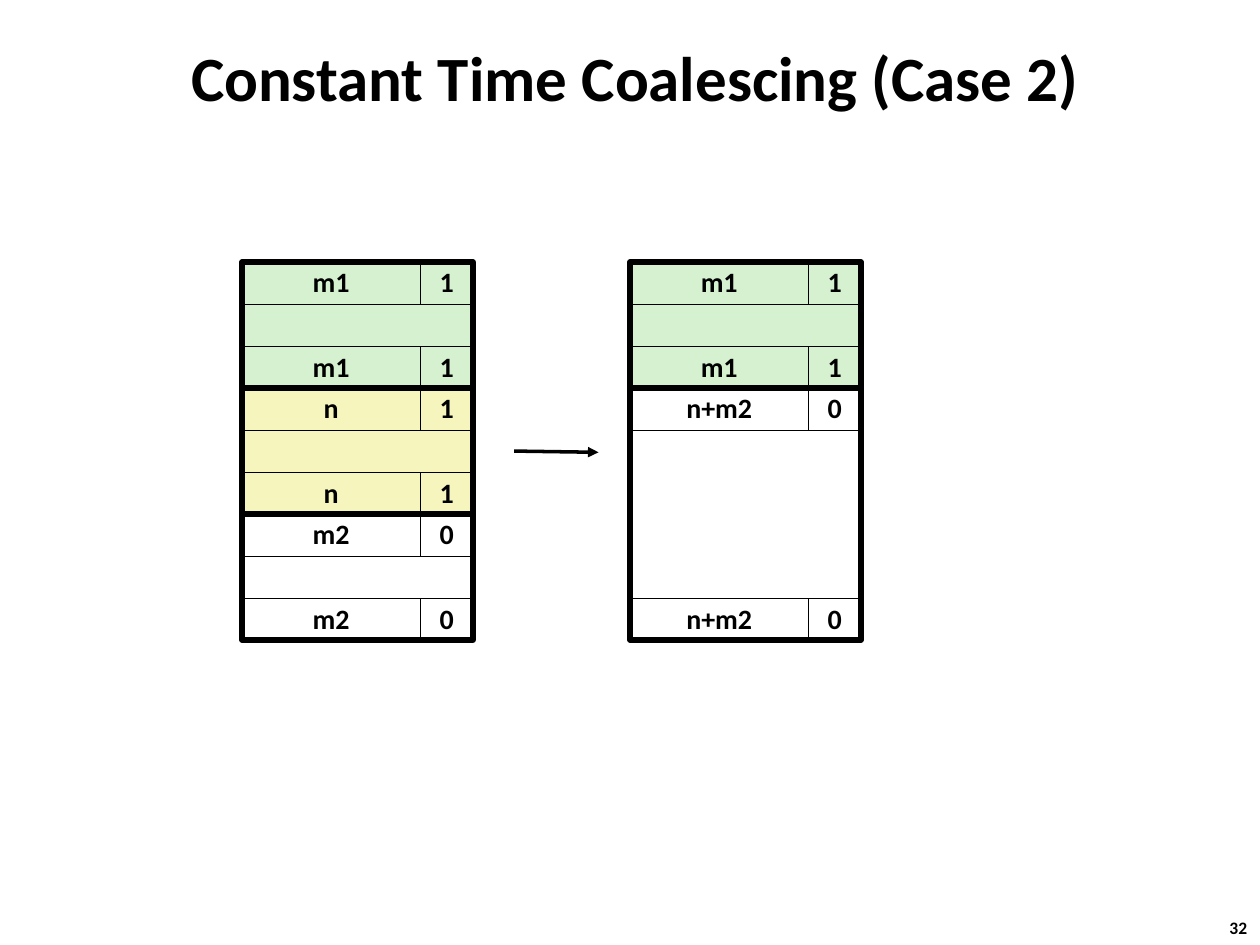
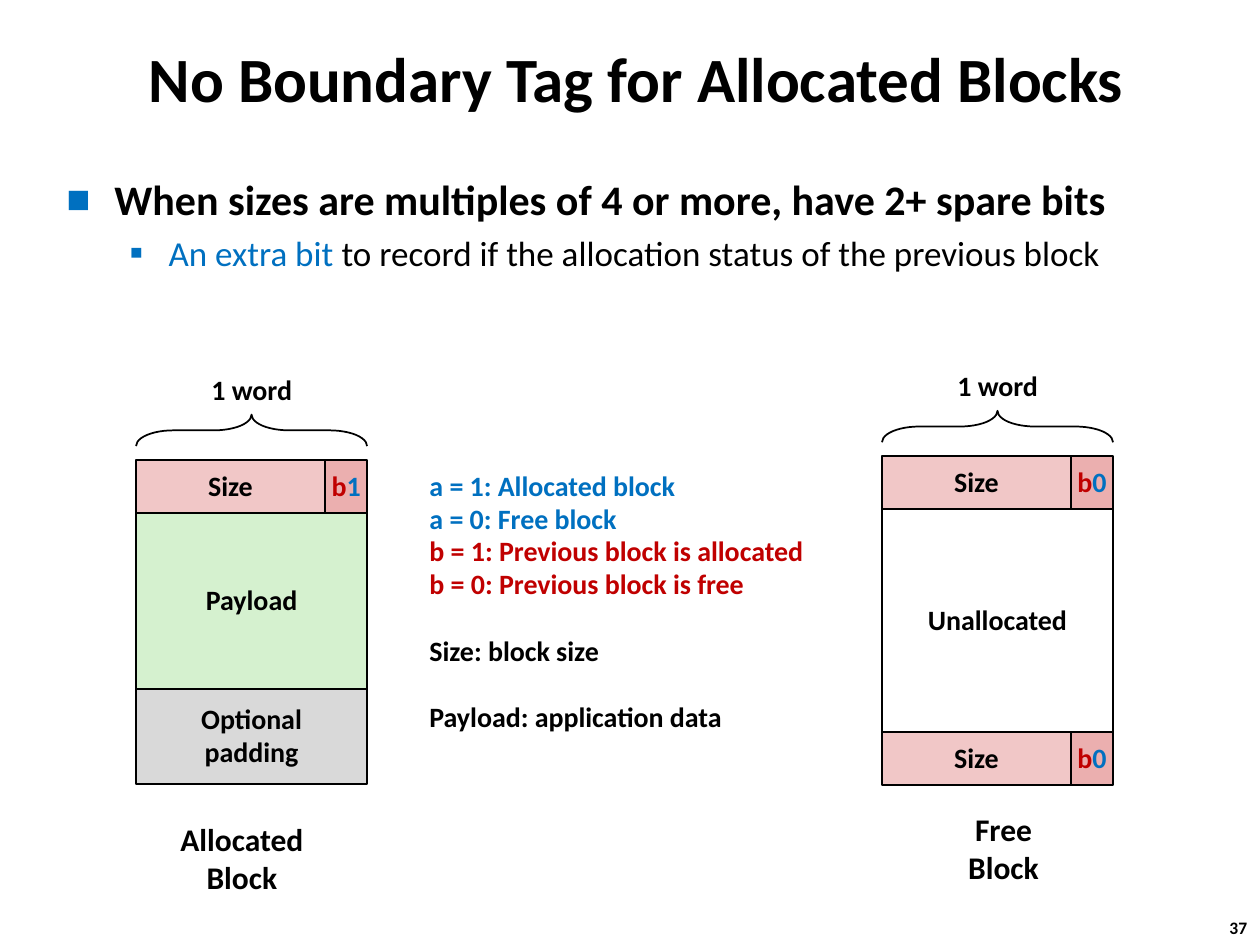
import pptx
import pptx.util
import pptx.dml.color
import pptx.enum.shapes
import pptx.enum.text
import pptx.oxml
import pptx.oxml.ns
from lxml import etree

Inches = pptx.util.Inches
Pt = pptx.util.Pt
SHAPE = pptx.enum.shapes.MSO_SHAPE
CENTER = pptx.enum.text.PP_ALIGN.CENTER
LEFT = pptx.enum.text.PP_ALIGN.LEFT
MIDDLE = pptx.enum.text.MSO_ANCHOR.MIDDLE
TOP = pptx.enum.text.MSO_ANCHOR.TOP

COLORS = {
    "black": "000000", "white": "FFFFFF", "green": "D5F1CF",
    "yellow": "F6F5BD", "pink": "F1C7C7", "rose": "EBAFAF",
    "gray": "D9D9D9", "blue": "0070C0", "red": "C00000",
}
BLOCK_W = 11 / 6
ROW_H = 1 / 3
FLAG_W = 5 / 12
HEADER_H = 0.42
BITS_W = 1 / 3


def rgb(name):
    return pptx.dml.color.RGBColor.from_string(COLORS[name])


def sub(parent, tag, **attrs):
    return etree.SubElement(parent, pptx.oxml.ns.qn(tag), **attrs)


class Deck:
    font = "Calibri"

    def __init__(self):
        self.prs = pptx.Presentation()
        self.prs.slide_width = Inches(10)
        self.prs.slide_height = Inches(7.5)
        self.s = None

    def slide(self, title, number, box):
        self.s = self.prs.slides.add_slide(self.prs.slide_layouts[6])
        self.text(9.66, 7.23, 0.37, 0.27, [number], size=10)
        self.text(*box, [title], size=36, align=CENTER, anchor=MIDDLE, wrap=True)

    def run(self, p, text, color="black", size=16, bold=True):
        r = p.add_run()
        r.text = text
        r.font.name = self.font
        r.font.size = Pt(size)
        r.font.bold = bold
        r.font.color.rgb = rgb(color)

    def fill_text(self, tf, lines, size, align, anchor, wrap=False, spacing=None):
        tf.word_wrap = wrap
        tf.vertical_anchor = anchor
        for i, line in enumerate(lines):
            p = tf.paragraphs[0] if i == 0 else tf.add_paragraph()
            p.alignment = align
            if spacing:
                p.line_spacing = spacing
            for text, color in [(line, "black")] if isinstance(line, str) else line:
                self.run(p, text, color, size)

    def text(self, x, y, w, h, lines, size=16, align=LEFT, anchor=TOP, wrap=False, spacing=None):
        sp = self.s.shapes.add_textbox(Inches(x), Inches(y), Inches(w), Inches(h))
        self.fill_text(sp.text_frame, lines, size, align, anchor, wrap, spacing)
        return sp.text_frame

    def shape(self, kind, x, y, w, h, fill=None, line=1):
        sp = self.s.shapes.add_shape(kind, Inches(x), Inches(y), Inches(w), Inches(h))
        sp.shadow.inherit = False
        if fill:
            sp.fill.solid()
            sp.fill.fore_color.rgb = rgb(fill)
        else:
            sp.fill.background()
        sp.line.color.rgb = rgb("black")
        sp.line.width = Pt(line)
        return sp

    def rect(self, x, y, w, h, fill=None, lines=(), line=1):
        sp = self.shape(SHAPE.RECTANGLE, x, y, w, h, fill, line)
        self.fill_text(sp.text_frame, lines, 16, CENTER, MIDDLE, spacing=0.98)

    def brace(self, x, y, w, h):
        sp = self.shape(SHAPE.RIGHT_BRACE, x + (w - h) / 2, y + (h - w) / 2, h, w)
        sp.rotation = 270
        sp.adjustments[0] = 1.19
        sp.adjustments[1] = 0.5

    def arrow(self, x1, y1, x2, y2):
        c = self.s.shapes.add_connector(
            pptx.enum.shapes.MSO_CONNECTOR.STRAIGHT,
            Inches(x1), Inches(y1), Inches(x2), Inches(y2))
        c.line.color.rgb = rgb("black")
        c.line.width = Pt(2)
        sub(c.line._get_or_add_ln(), "a:tailEnd", type="triangle")
        sub(c._element.spPr, "a:effectLst")

    def bullets(self, x, y, w, h, items):
        tf = self.text(x, y, w, h, [], wrap=True)
        for i, (char, percent, margin, hang, size, bold, runs) in enumerate(items):
            p = tf.paragraphs[0] if i == 0 else tf.add_paragraph()
            pPr = p._p.get_or_add_pPr()
            pPr.set("marL", str(Inches(margin)))
            pPr.set("indent", str(-Inches(hang)))
            pPr.set("lvl", str(i))
            sub(sub(pPr, "a:buClr"), "a:srgbClr", val=COLORS["blue"])
            sub(pPr, "a:buSzPct", val=str(percent * 1000))
            sub(pPr, "a:buFont", typeface=self.font)
            sub(pPr, "a:buChar", char=char)
            if i:
                p.space_before = Pt(0.2 * size)
            for text, color in runs:
                self.run(p, text, color, size, bold)

    def memory_block(self, x, y, rows, size, flag, fill):
        last = y + (rows - 1) * ROW_H
        for top in (y, last):
            self.rect(x, top, BLOCK_W - FLAG_W, ROW_H, fill, [size], 0.25)
            self.rect(x + BLOCK_W - FLAG_W, top, FLAG_W, ROW_H, fill, [flag], 0.25)
        self.rect(x, y + ROW_H, BLOCK_W, (rows - 2) * ROW_H, fill, line=0.25)
        self.rect(x, y, BLOCK_W, rows * ROW_H, line=3)

    def tag(self, x, y, bit):
        size_w = BLOCK_W - BITS_W
        self.rect(x, y, size_w, HEADER_H, "pink", ["Size"])
        self.rect(x + size_w, y, BITS_W, HEADER_H, "rose", [[("b", "red"), (bit, "blue")]])

    def word_header(self, x, y, label_x, bit):
        self.text(label_x, y - 0.73, 0.85, 0.37, ["1 word"], spacing=0.98)
        self.brace(x, y - 0.36, BLOCK_W, 0.25)
        self.tag(x, y, bit)


def coalescing(d):
    d.slide("Constant Time Coalescing (Case 2)", "32", (0.5, 0.29, 9.08, 0.63))
    before = [(3, "m1", "1", "green"), (3, "n", "1", "yellow"), (3, "m2", "0", "white")]
    after = [(3, "m1", "1", "green"), (6, "n+m2", "0", "white")]
    for x, blocks in ((1.92, before), (5, after)):
        y = 2.08
        for rows, size, flag, fill in blocks:
            d.memory_block(x, y, rows, size, flag, fill)
            y += rows * ROW_H
    d.arrow(4.08, 3.58, 4.75, 3.59)


def boundary_tags(d):
    d.slide("No Boundary Tag for Allocated Blocks", "37", (0.9, 0.2, 8.3, 0.83))
    d.bullets(0.43, 1.33, 9.23, 0.98, [
        ("■", 60, 0.38, 0.38, 24, True,
         [("When sizes are multiples of 4 or more, have 2+ spare bits", "black")]),
        ("▪", 110, 0.81, 0.31, 20, False,
         [("An extra bit ", "blue"),
          ("to record if the allocation status of the previous block", "black")]),
    ])

    allocated_x, free_x = 1.08, 7
    d.word_header(allocated_x, 3.65, 1.58, "1")
    d.rect(allocated_x, 4.07, BLOCK_W, 1.4, "green", ["Payload"])
    d.rect(allocated_x, 5.47, BLOCK_W, 0.75, "gray", ["Optional", "padding"])
    d.text(1.33, 6.46, 1.18, 0.71, ["Allocated", "Block"], 18, CENTER)

    d.word_header(free_x, 3.62, 7.5, "0")
    d.rect(free_x, 4.04, BLOCK_W, 1.77, lines=["Unallocated"])
    d.tag(free_x, 5.81, "0")
    d.text(7.58, 6.38, 0.77, 0.71, ["Free", "Block"], 18, CENTER)

    legend = d.text(3.31, 3.68, 3.21, 2.21, [
        [("a = 1: Allocated block", "blue")],
        [("a = 0: Free block", "blue")],
        [("b = 1: Previous block is allocated", "red")],
        [("b = 0: Previous block is free", "red")],
        "Size: block size",
        "Payload: application data",
    ], spacing=0.98)
    for p in legend.paragraphs[4:]:
        p.space_before = Pt(19)


def main():
    d = Deck()
    coalescing(d)
    boundary_tags(d)
    d.prs.save("out.pptx")


if __name__ == "__main__":
    main()
